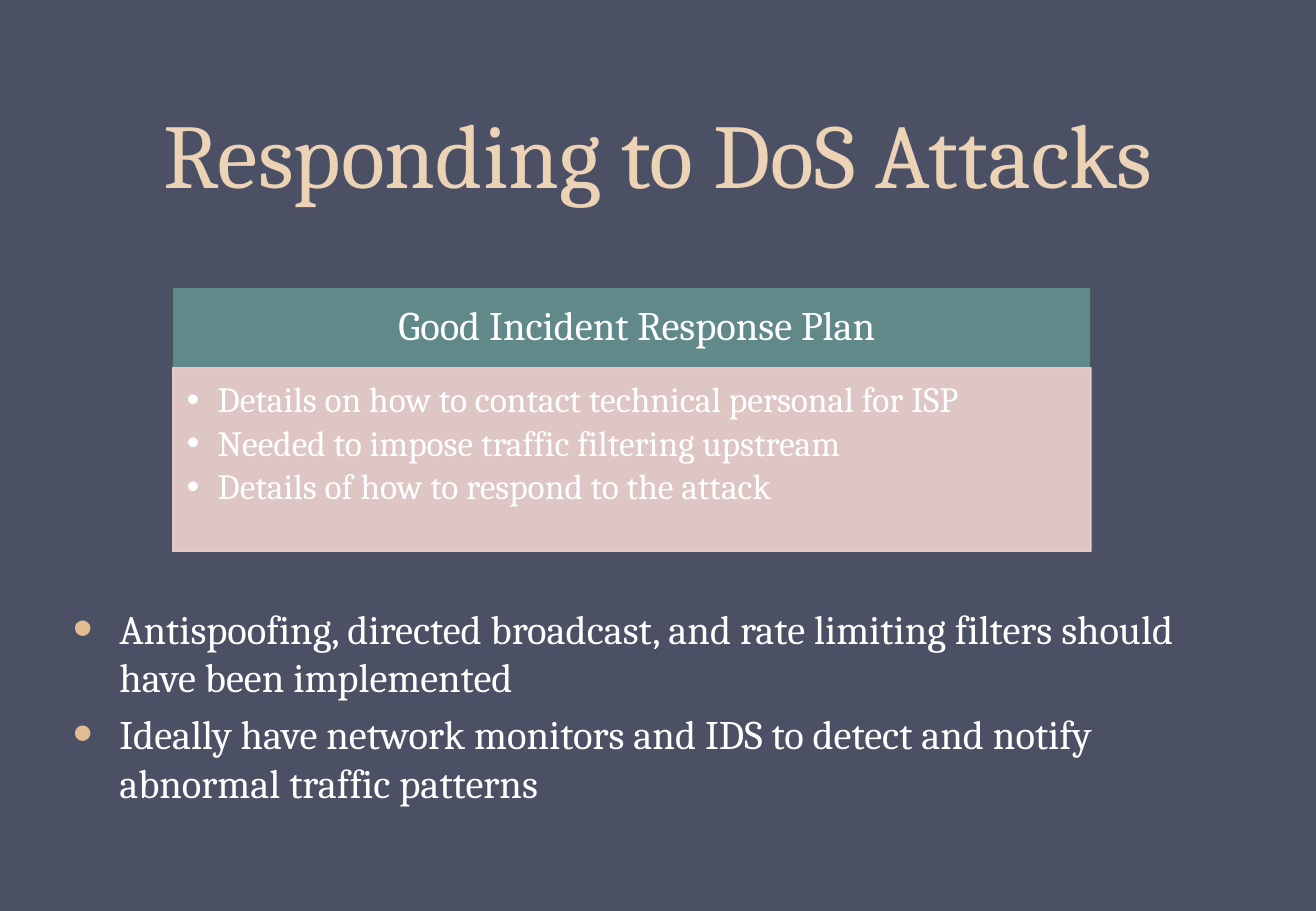
from lxml.etree import SubElement
from pptx import Presentation
from pptx.dml.color import RGBColor
from pptx.enum.shapes import MSO_SHAPE
from pptx.enum.text import MSO_ANCHOR, MSO_AUTO_SIZE, PP_ALIGN
from pptx.oxml.ns import qn
from pptx.util import Cm, Pt


def rgb(value):
    return RGBColor.from_string(value)


def write(tf, lines, size, color="FFFFFF", align=PP_ALIGN.LEFT, spacing=None,
          before=0, after=0, indent=0, bullet_color=None, bullet_size=100):
    """Fill a text frame; an indent in cm gives the lines hanging bullets."""
    tf.word_wrap = True
    tf.auto_size = MSO_AUTO_SIZE.NONE
    for i, line in enumerate(lines):
        p = tf.paragraphs[0] if i == 0 else tf.add_paragraph()
        p.alignment = align
        p.line_spacing = spacing
        p.space_before = Pt(before if i else 0)
        p.space_after = Pt(after)
        if indent:
            pPr = p._p.get_or_add_pPr()
            pPr.set("marL", str(Cm(indent)))
            pPr.set("indent", str(-Cm(indent)))
            if bullet_color:
                clr = SubElement(pPr, qn("a:buClr"))
                SubElement(clr, qn("a:srgbClr"), val=bullet_color)
            SubElement(pPr, qn("a:buSzPct"), val=str(bullet_size * 1000))
            SubElement(pPr, qn("a:buFont"), typeface="Arial")
            SubElement(pPr, qn("a:buChar"), char="•")
        r = p.add_run()
        r.text = line
        r.font.name = "Cambria"
        r.font.size = Pt(size)
        r.font.color.rgb = rgb(color)


prs = Presentation()
prs.slide_width, prs.slide_height = Cm(27.51), Cm(19.05)
slide = prs.slides.add_slide(prs.slide_layouts[1])
slide.background.fill.solid()
slide.background.fill.fore_color.rgb = rgb("4B5064")

# Title and closing list
title, body = slide.placeholders
title.left, title.top, title.width, title.height = Cm(1.37), Cm(0), Cm(24.77), Cm(4.45)
title.text_frame.vertical_anchor = MSO_ANCHOR.BOTTOM
write(title.text_frame, ["Responding to DoS Attacks"], 54, color="EDD3B6",
      align=PP_ALIGN.CENTER, spacing=Pt(58))

body.left, body.top, body.width, body.height = Cm(1.27), Cm(12.5), Cm(24.77), Cm(6.55)
write(body.text_frame, [
    "Antispoofing, directed broadcast, and rate limiting filters should have been implemented",
    "Ideally have network monitors and IDS to detect and notify abnormal traffic patterns",
], 24, before=4.8, indent=0.97, bullet_color="E3BC92", bullet_size=140)

# Response plan: header bar above a detail panel
panels = []
for top, height, fill, line, anchor, insets in [
    (6.02, 1.67, "61898A", "415B5C", MSO_ANCHOR.MIDDLE, (0.69, 0.28, 0.48, 0.28)),
    (7.69, 3.84, "EED3D0", "EED3D0", MSO_ANCHOR.TOP, (0.3, 0.3, 0.41, 0.46)),
]:
    sp = slide.shapes.add_shape(MSO_SHAPE.RECTANGLE, Cm(3.61), Cm(top), Cm(19.2), Cm(height))
    sp.shadow.inherit = False
    sp.fill.solid()
    sp.fill.fore_color.rgb = rgb(fill)
    sp.line.color.rgb = rgb(line)
    sp.line.width = Pt(0.75)
    tf = sp.text_frame
    tf.vertical_anchor = anchor
    tf.margin_left, tf.margin_top, tf.margin_right, tf.margin_bottom = map(Cm, insets)
    panels.append(sp)

header, details = panels
for clr in details._element.spPr.iter(qn("a:srgbClr")):
    SubElement(clr, qn("a:alpha"), val="90000")
write(header.text_frame, ["Good Incident Response Plan"], 24,
      align=PP_ALIGN.CENTER, spacing=0.9)
write(details.text_frame, [
    "Details on how to contact technical personal for ISP",
    "Needed to impose traffic filtering upstream",
    "Details of how to respond to the attack",
], 21, spacing=0.9, after=3.15, indent=0.64)

prs.save("out.pptx")
